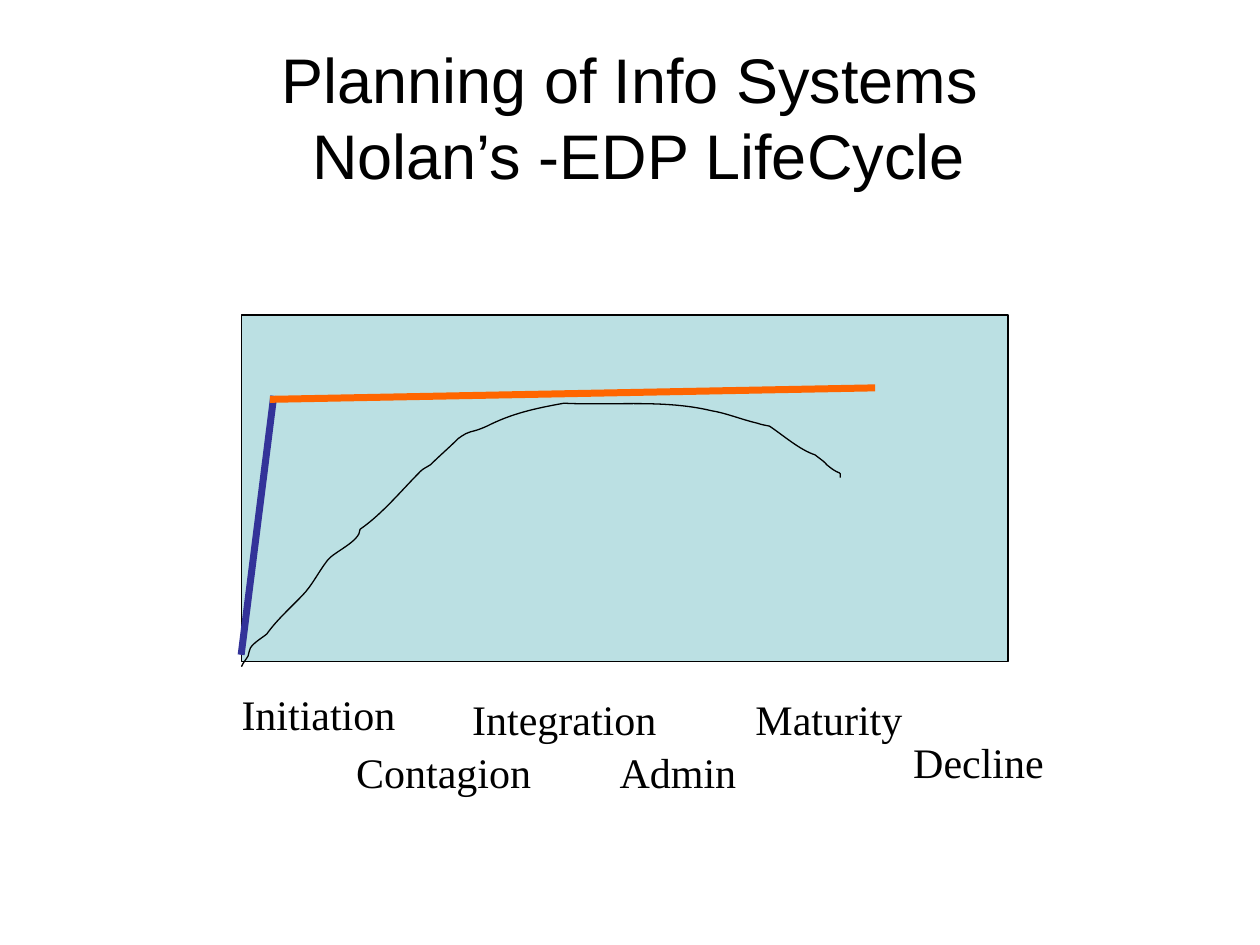
from dataclasses import dataclass

from lxml.etree import SubElement
from pptx import Presentation
from pptx.dml.color import RGBColor
from pptx.enum.shapes import MSO_CONNECTOR, MSO_SHAPE
from pptx.enum.text import MSO_ANCHOR, MSO_AUTO_SIZE, PP_ALIGN
from pptx.oxml.ns import qn
from pptx.util import Cm, Pt


@dataclass(frozen=True)
class Theme:
    ink: RGBColor = RGBColor(0x00, 0x00, 0x00)
    panel: RGBColor = RGBColor(0xBB, 0xE0, 0xE3)
    rise: RGBColor = RGBColor(0x33, 0x33, 0x99)
    ceiling: RGBColor = RGBColor(0xFF, 0x66, 0x00)
    title_font: str = "Arial"
    label_font: str = "Times New Roman"
    title_size: Pt = Pt(36)
    label_size: Pt = Pt(24)
    thin: Pt = Pt(0.75)
    thick: Pt = Pt(4)


THEME = Theme()

# Growth curve in cm from the panel corner: start, then control, control, end
CURVE_START = (0, 7.09)
CURVE = [
    ((0.03, 7.01), (0.08, 6.96), (0.13, 6.88)),
    ((0.15, 6.83), (0.15, 6.76), (0.18, 6.71)),
    ((0.25, 6.60), (0.43, 6.50), (0.51, 6.43)),
    ((0.71, 6.15), (0.97, 5.92), (1.22, 5.66)),
    ((1.42, 5.46), (1.55, 5.18), (1.73, 4.95)),
    ((1.85, 4.78), (2.39, 4.57), (2.39, 4.32)),
    ((2.84, 4.01), (3.23, 3.53), (3.61, 3.15)),
    ((3.66, 3.10), (3.73, 3.07), (3.81, 3.02)),
    ((3.99, 2.84), (4.19, 2.67), (4.37, 2.49)),
    ((4.65, 2.29), (4.57, 2.41), (4.95, 2.24)),
    ((5.46, 1.98), (5.94, 1.88), (6.50, 1.78)),
    ((7.49, 1.83), (8.51, 1.70), (9.47, 1.93)),
    ((9.78, 1.98), (10.08, 2.11), (10.39, 2.18)),
    ((10.46, 2.21), (10.64, 2.24), (10.64, 2.24)),
    ((10.90, 2.41), (11.25, 2.72), (11.56, 2.82)),
    ((11.61, 2.87), (11.68, 2.90), (11.73, 2.95)),
    ((11.79, 3.00), (11.81, 3.05), (11.86, 3.07)),
    ((12.09, 3.25), (12.07, 3.12), (12.07, 3.28)),
]

# Stage name, left and top within the label area, width (cm)
STAGES = [
    ("Initiation", 0, 0, 3.61),
    ("Contagion", 2.31, 1.17, 4.05),
    ("Integration", 4.65, 0.1, 4.23),
    ("Admin", 7.62, 1.17, 2.87),
    ("Maturity", 10.36, 0.1, 3.48),
    ("Decline", 13.54, 0.97, 3.15),
]


def add_run(p, text, font, size):
    r = p.add_run()
    r.text = text
    r.font.name = font
    r.font.size = size
    r.font.color.rgb = THEME.ink


def set_line(sp, color, width):
    sp.line.color.rgb = color
    sp.line.width = width


def add_title(s, left, top, width, height):
    tf = s.shapes.add_textbox(Cm(left), Cm(top), Cm(width), Cm(height)).text_frame
    tf.word_wrap = True
    tf.vertical_anchor = MSO_ANCHOR.MIDDLE
    p = tf.paragraphs[0]
    p.alignment = PP_ALIGN.CENTER
    add_run(p, "Planning of Info Systems", THEME.title_font, THEME.title_size)
    p.add_line_break()
    add_run(p, " Nolan’s -EDP LifeCycle", THEME.title_font, THEME.title_size)


def add_curve(s, left, top):
    points = [(Cm(left + x), Cm(top + y))
              for x, y in [CURVE_START, *(pt for seg in CURVE for pt in seg)]]
    fb = s.shapes.build_freeform(*points[0])
    fb.add_line_segments(points[1:], close=False)
    sp = fb.convert_to_shape()
    # Each three straight steps become one cubic curve
    outline = next(sp._element.iter(qn("a:moveTo"))).getparent()
    steps = outline.findall(qn("a:lnTo"))
    for i in range(0, len(steps), 3):
        curve = SubElement(outline, qn("a:cubicBezTo"))
        for step in steps[i:i + 3]:
            curve.append(step[0])
            outline.remove(step)
    sp.shadow.inherit = False
    sp.fill.background()
    set_line(sp, THEME.ink, THEME.thin)


def add_trend(s, left, top, start, end, color):
    (x1, y1), (x2, y2) = start, end
    cx = s.shapes.add_connector(MSO_CONNECTOR.STRAIGHT, Cm(left + x1),
                                Cm(top + y1), Cm(left + x2), Cm(top + y2))
    set_line(cx, color, THEME.thick)
    cx._element.spPr.find(qn("a:ln")).set("cap", "sq")
    SubElement(cx._element.spPr, qn("a:effectLst"))


def add_plot(s, left, top, width, height):
    # Panel
    sp = s.shapes.add_shape(MSO_SHAPE.RECTANGLE, Cm(left), Cm(top),
                            Cm(width), Cm(height))
    sp.shadow.inherit = False
    sp.fill.solid()
    sp.fill.fore_color.rgb = THEME.panel
    set_line(sp, THEME.ink, THEME.thin)
    # Life cycle curve, then the steep rise and the flat ceiling
    add_curve(s, left, top)
    corner = (0.64, 1.7)
    add_trend(s, left, top, (0, 6.78), corner, THEME.rise)
    add_trend(s, left, top, corner, (12.7, 1.47), THEME.ceiling)


def add_stages(s, left, top, height):
    for name, dx, dy, width in STAGES:
        tf = s.shapes.add_textbox(Cm(left + dx), Cm(top + dy),
                                  Cm(width), Cm(height)).text_frame
        tf.word_wrap = False
        tf.auto_size = MSO_AUTO_SIZE.SHAPE_TO_FIT_TEXT
        add_run(tf.paragraphs[0], name, THEME.label_font, THEME.label_size)


def main():
    prs = Presentation()
    prs.slide_width, prs.slide_height = Cm(25.4), Cm(19.05)
    s = prs.slides.add_slide(prs.slide_layouts[6])
    add_title(s, 1.27, 0.76, 22.86, 3.18)
    add_plot(s, 4.87, 6.35, 15.45, 6.99)
    add_stages(s, 4.62, 13.76, 1.27)
    prs.save("out.pptx")


if __name__ == "__main__":
    main()
